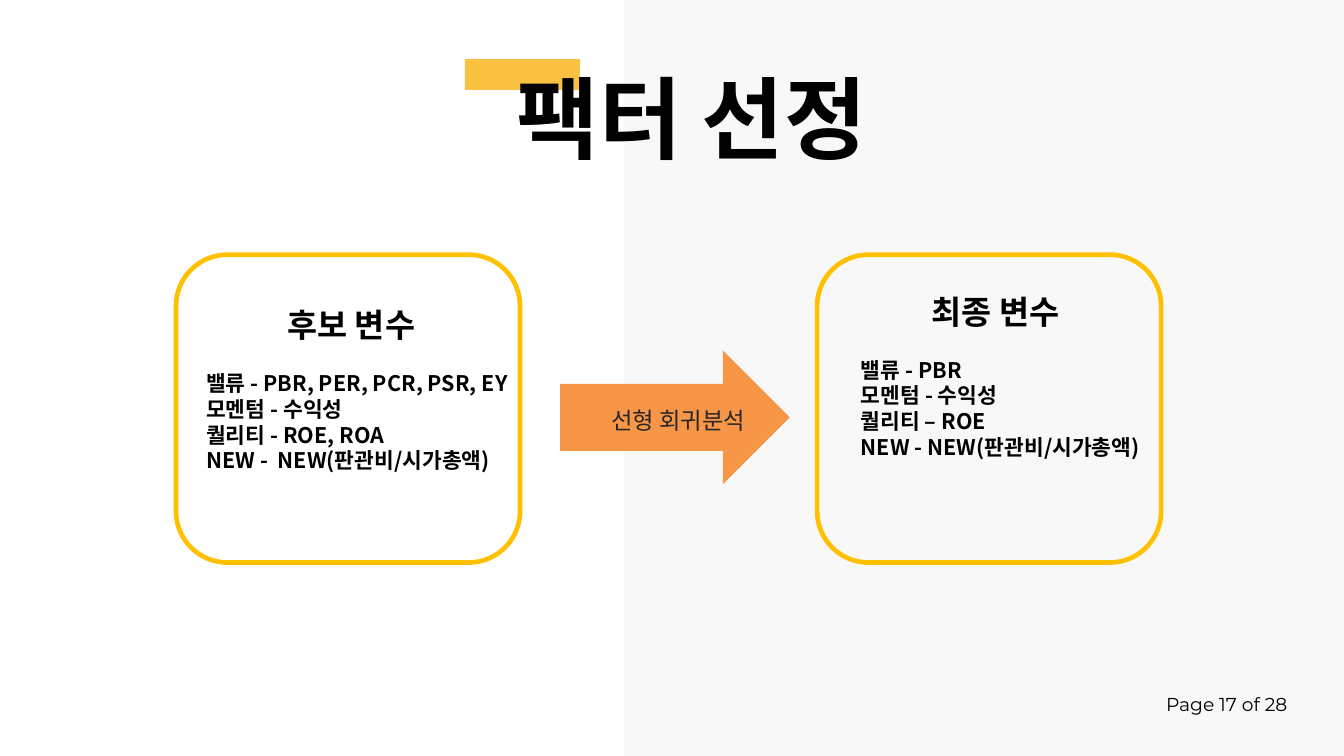
"""Build the factor selection slide: candidate variables, regression, final variables."""
from dataclasses import dataclass

from lxml import etree
from pptx import Presentation
from pptx.dml.color import RGBColor
from pptx.enum.shapes import MSO_SHAPE
from pptx.enum.text import MSO_ANCHOR, MSO_AUTO_SIZE, PP_ALIGN
from pptx.oxml.ns import qn
from pptx.util import Pt

RECTANGLE = MSO_SHAPE.RECTANGLE
ROUNDED = MSO_SHAPE.ROUNDED_RECTANGLE
ARROW = MSO_SHAPE.RIGHT_ARROW
TOP = MSO_ANCHOR.TOP
NO_AUTOFIT = MSO_AUTO_SIZE.NONE
LEFT, RIGHT = PP_ALIGN.LEFT, PP_ALIGN.RIGHT


@dataclass(frozen=True)
class TextStyle:
    size: float
    font: str
    color: str = "000000"
    bold: bool = False
    leading: float = 1.2
    align: PP_ALIGN = LEFT

    @property
    def line_height(self) -> float:
        return self.size * self.leading


@dataclass(frozen=True)
class Theme:
    panel: str = "DDDDDD"
    panel_opacity: int = 18
    accent: str = "F9C041"
    frame: str = "FFC000"
    arrow: str = "F79646"
    korean: str = "Noto Sans CJK KR"
    title: TextStyle = TextStyle(96, "Arial", bold=True)
    heading: TextStyle = TextStyle(35, "Noto Sans CJK KR", bold=True)
    item: TextStyle = TextStyle(23, "Noto Sans CJK KR", bold=True)
    label: TextStyle = TextStyle(25, "Arial", "262626")
    page: TextStyle = TextStyle(20, "Montserrat", leading=1.4, align=RIGHT)


@dataclass(frozen=True)
class Area:
    left: float
    top: float
    width: float
    height: float


@dataclass(frozen=True)
class VariableCard:
    heading: str
    indent: float
    items: tuple[str, ...]
    frame: Area
    text: Area


THEME = Theme()
CARDS = (
    VariableCard(
        "후보 변수", 87,
        ("밸류 - PBR, PER, PCR, PSR, EY", "모멘텀 - 수익성",
         "퀄리티 - ROE, ROA", "NEW -  NEW(판관비/시가총액)"),
        Area(188.6, 272.9, 368.6, 329.8), Area(213.8, 323.3, 380, 189.4)),
    VariableCard(
        "최종 변수", 76,
        ("밸류 - PBR", "모멘텀 - 수익성",
         "퀄리티 – ROE", "NEW - NEW(판관비/시가총액)"),
        Area(875.5, 272.9, 368.6, 329.8), Area(915.1, 308.9, 380, 189.4)),
)


def move(shape, area: Area) -> None:
    """Place a shape on the given area."""
    shape.left, shape.top = Pt(area.left), Pt(area.top)
    shape.width, shape.height = Pt(area.width), Pt(area.height)


def bring_forward(shape) -> None:
    """Put a shape in front of everything drawn so far."""
    shape.element.getparent().append(shape.element)


def add_block(page, kind: MSO_SHAPE, area: Area, fill: str = "", line: str = ""):
    """Draw a preset shape with an optional fill and outline."""
    block = page.shapes.add_shape(
        kind, Pt(area.left), Pt(area.top), Pt(area.width), Pt(area.height))
    block.shadow.inherit = False
    if fill:
        block.fill.solid()
        block.fill.fore_color.rgb = RGBColor.from_string(fill)
    else:
        block.fill.background()
    if line:
        block.line.color.rgb = RGBColor.from_string(line)
        block.line.width = Pt(5)
    else:
        block.line.fill.background()
    return block


def set_opacity(block, percent: int) -> None:
    """Make a solid fill partly transparent."""
    color = block.element.spPr.find(qn("a:solidFill"))[0]
    etree.SubElement(color, qn("a:alpha")).set("val", str(percent * 1000))


def style_paragraph(para, style: TextStyle, indent: float = 0, before: float = 0) -> None:
    """Format a paragraph and its runs, without a bullet."""
    properties = para._p.get_or_add_pPr()
    properties.set("marL", str(Pt(indent)))
    properties.set("indent", "0")
    etree.SubElement(properties, qn("a:buNone"))
    para.alignment = style.align
    para.line_spacing = Pt(style.line_height)
    para.space_before = Pt(before)
    for span in para.runs:
        span.font.name = style.font
        span.font.size = Pt(style.size)
        span.font.bold = style.bold
        span.font.color.rgb = RGBColor.from_string(style.color)
        latin = span.font._element.find(qn("a:latin"))
        east_asian = etree.Element(qn("a:ea"), typeface=THEME.korean)
        latin.addnext(east_asian)


def prepare_frame(box, inset: bool = True) -> None:
    """Give a text frame top anchoring, fixed size and plain margins."""
    frame = box.text_frame
    frame.word_wrap = True
    frame.auto_size = NO_AUTOFIT
    frame.vertical_anchor = TOP
    frame.margin_left = frame.margin_right = Pt(7.2 if inset else 0)
    frame.margin_top = frame.margin_bottom = Pt(3.6 if inset else 0)


def write_line(box, text: str, style: TextStyle, inset: bool = True) -> None:
    """Write a single formatted line in a box."""
    prepare_frame(box, inset)
    box.text_frame.text = text
    style_paragraph(box.text_frame.paragraphs[0], style)


def add_label(page, area: Area, text: str, style: TextStyle, inset: bool = True) -> None:
    """Add a text box with one line."""
    box = page.shapes.add_textbox(
        Pt(area.left), Pt(area.top), Pt(area.width), Pt(area.height))
    write_line(box, text, style, inset)


def fill_card(page, body, card: VariableCard) -> None:
    """Draw a card outline and write its heading and list."""
    add_block(page, ROUNDED, card.frame, line=THEME.frame)
    move(body, card.text)
    bring_forward(body)
    prepare_frame(body)
    body.text_frame.text = "\n".join((card.heading, *card.items))
    heading, *items = body.text_frame.paragraphs
    style_paragraph(heading, THEME.heading, card.indent)
    for position, para in enumerate(items):
        gap = THEME.item.line_height if position == 0 else 0
        style_paragraph(para, THEME.item, before=gap)


def main() -> None:
    """Build and save the deck."""
    deck = Presentation()
    deck.slide_width, deck.slide_height = Pt(1440), Pt(810)
    page = deck.slides.add_slide(deck.slide_layouts[3])
    title, *bodies = list(page.placeholders)[:3]

    panel = add_block(page, RECTANGLE, Area(669, 0, 771, 810), THEME.panel)
    set_opacity(panel, THEME.panel_opacity)
    add_label(page, Area(1223.3, 738.7, 156.2, 28), "Page 17 of 28", THEME.page, False)
    add_block(page, RECTANGLE, Area(498.2, 63.4, 123.1, 32.8), THEME.accent)

    move(title, Area(553.7, 67, 860, 116.6))
    bring_forward(title)
    write_line(title, "팩터 선정", THEME.title, False)

    add_block(page, ARROW, Area(600, 375.5, 246.2, 143.3), THEME.arrow)
    add_label(page, Area(648, 431.3, 190, 37.4), "선형 회귀분석", THEME.label)
    for body, card in zip(bodies, CARDS):
        fill_card(page, body, card)
    deck.save("out.pptx")


if __name__ == "__main__":
    main()
